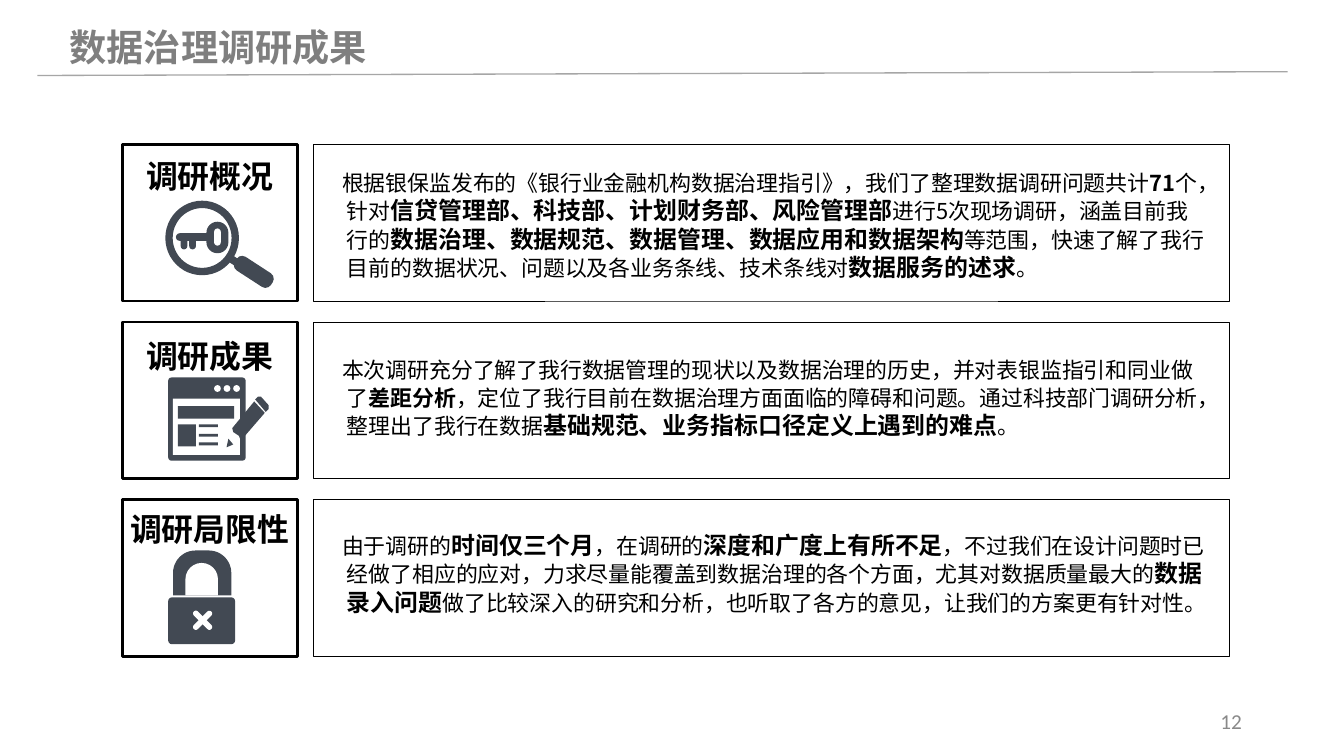
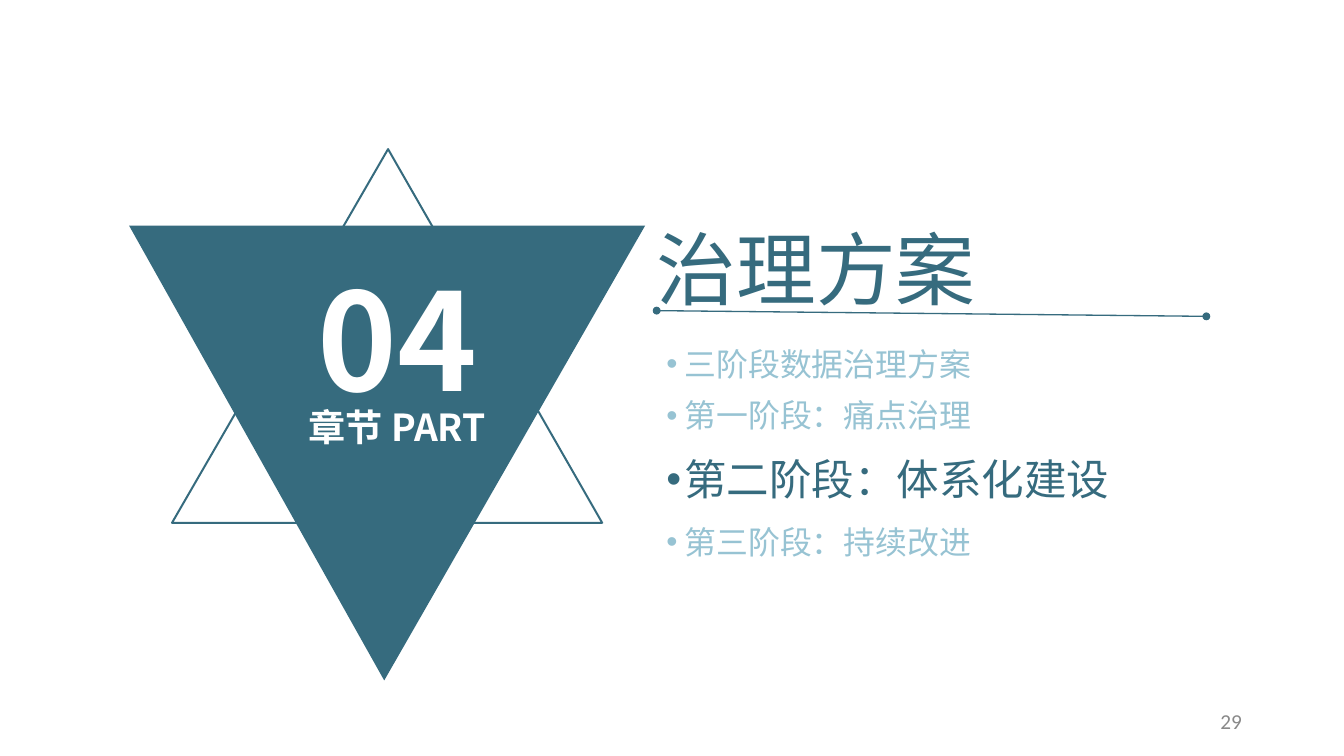
from lxml import etree
from pptx import Presentation
from pptx.dml.color import RGBColor
from pptx.enum.shapes import MSO_CONNECTOR, MSO_SHAPE
from pptx.enum.text import MSO_ANCHOR, MSO_AUTO_SIZE, PP_ALIGN
from pptx.oxml.ns import qn
from pptx.util import Inches, Pt

RECTANGLE = MSO_SHAPE.RECTANGLE
ROUNDED = MSO_SHAPE.ROUNDED_RECTANGLE
ARCH = MSO_SHAPE.ROUND_2_SAME_RECTANGLE
OVAL = MSO_SHAPE.OVAL
DONUT = MSO_SHAPE.DONUT
STRAIGHT = MSO_CONNECTOR.STRAIGHT
TOP, MIDDLE = MSO_ANCHOR.TOP, MSO_ANCHOR.MIDDLE
LEFT, CENTER, RIGHT = PP_ALIGN.LEFT, PP_ALIGN.CENTER, PP_ALIGN.RIGHT

COLORS = {
    "black": "000000",
    "white": "FFFFFF",
    "title": "7F7F7F",
    "rule": "A6A6A6",
    "number": "898989",
    "icon": "424953",
    "teal": "366B7E",
    "pale": "97C3D3",
}
CHINESE_FONT = "Noto Sans CJK SC"
NUMBER_FONT = "Calibri"
TITLE_ONLY, TITLE_AND_BODY = 5, 1

RUN_STYLES = {
    "plain": {"size": Pt(16.5), "bold": False},
    "bold": {"size": Pt(16.5), "bold": True},
    "strong": {"size": Pt(18), "bold": True},
}

FRAME_TOP, FRAME_STEP, FRAME_HEIGHT = 1.51, 1.86, 1.64
LABEL_LEFT, LABEL_WIDTH = 1.28, 1.83
DETAIL_LEFT, DETAIL_WIDTH = 3.28, 9.58
DETAIL_TEXT_HEIGHT = 1.19

MAGNIFIER = [
    (DONUT, (1.73, 2.1, 0.77, 0.78), "icon", 0.1, 0),
    (RECTANGLE, (2.39, 2.69, 0.12, 0.08), "icon", None, 33),
    (ROUNDED, (2.43, 2.76, 0.45, 0.17), "icon", 0.4, 33),
    (ROUNDED, (1.84, 2.44, 0.39, 0.08), "icon", 0.5, 0),
    (ROUNDED, (1.89, 2.45, 0.07, 0.16), "icon", 0.5, 0),
    (ROUNDED, (1.98, 2.45, 0.07, 0.16), "icon", 0.5, 0),
    (ROUNDED, (2.16, 2.32, 0.23, 0.33), "icon", 0.5, 0),
    (ROUNDED, (2.24, 2.39, 0.07, 0.18), "white", 0.5, 0),
]
REPORT = [
    (ROUNDED, (1.76, 3.95, 0.81, 0.87), "icon", 0.04, 0),
    *[(OVAL, (left, 4.03, 0.07, 0.07), "white", None, 0) for left in (2.24, 2.34, 2.44)],
    (RECTANGLE, (1.81, 4.17, 0.7, 0.59), "white", None, 0),
    (RECTANGLE, (1.86, 4.25, 0.59, 0.13), "icon", None, 0),
    (RECTANGLE, (1.86, 4.44, 0.19, 0.23), "icon", None, 0),
    *[(RECTANGLE, (2.08, top, 0.2, 0.03), "icon", None, 0) for top in (4.44, 4.54, 4.63)],
]
PENCIL = [
    [(2.39, 4.59), (2.37, 4.68), (2.44, 4.65)],
    [(2.66, 4.2), (2.43, 4.48), (2.44, 4.52), (2.5, 4.56), (2.52, 4.61), (2.77, 4.32)],
    [(2.78, 4.31), (2.81, 4.28), (2.81, 4.24), (2.73, 4.15), (2.7, 4.15), (2.67, 4.18)],
]
PADLOCK = [
    (ARCH, (1.81, 5.76, 0.61, 0.47), "icon", 0.5, 0),
    (ARCH, (1.94, 5.89, 0.34, 0.34), "white", 0.5, 0),
    (ROUNDED, (1.76, 6.25, 0.7, 0.49), "icon", 0.08, 0),
    *[(ROUNDED, (1.99, 6.46, 0.26, 0.06), "white", 0.5, angle) for angle in (45, -45)],
]

SURVEY_ROWS = [
    ("调研概况", 1.64, 2.35, MAGNIFIER, [], [
        ("根据银保监发布的《银行业金融机构数据治理指引》，我们了整理数据调研问题共计", "plain"),
        ("71", "bold"),
        ("个，针对", "plain"),
        ("信贷管理部、科技部、计划财务部、风险管理部", "strong"),
        ("进行5次现场调研，涵盖目前我行的", "plain"),
        ("数据治理、数据规范、数据管理、数据应用和数据架构", "strong"),
        ("等范围，快速了解了我行目前的数据状况、问题以及各业务条线、技术条线对", "plain"),
        ("数据服务的述求", "strong"),
        ("。", "plain"),
    ]),
    ("调研成果", 3.52, 4.15, REPORT, PENCIL, [
        ("本次调研充分了解了我行数据管理的现状以及数据治理的历史，并对表银监指引和同业做了", "plain"),
        ("差距分析", "bold"),
        ("，定位了我行目前在数据治理方面面临的障碍和问题。通过科技部门调研分析，整理出了我行在数据", "plain"),
        ("基础规范、业务指标口径定义上遇到的难点", "strong"),
        ("。", "plain"),
    ]),
    ("调研局限性", 5.33, 6.0, PADLOCK, [], [
        ("由于调研的", "plain"),
        ("时间仅三个月", "strong"),
        ("，在调研的", "plain"),
        ("深度和广度上有所不足", "strong"),
        ("，不过我们在设计问题时已经做了相应的应对，力求尽量能覆盖到数据治理的各个方面，尤其对数据质量最大的", "plain"),
        ("数据录入问题", "strong"),
        ("做了比较深入的研究和分析，也听取了各方的意见，让我们的方案更有针对性。", "plain"),
    ]),
]

PHASES = [
    ("三阶段数据治理方案", 24, "pale", 39),
    ("第一阶段：痛点治理", 24, "pale", 39),
    ("第二阶段：体系化建设", 32, "teal", 52.5),
    ("第三阶段：持续改进", 24, "pale", 43),
]


def rgb(name):
    """Return the named palette colour."""
    return RGBColor.from_string(COLORS[name])


def set_attributes(target, values):
    """Set every attribute in the dict on the target."""
    for name, value in values.items():
        setattr(target, name, value)


def place(shape, box):
    """Move and size a shape to a box in inches."""
    set_attributes(shape, dict(zip(("left", "top", "width", "height"), map(Inches, box))))


def add_run(paragraph, text, color, font=CHINESE_FONT, **values):
    """Add a formatted run with one typeface for all scripts."""
    run = paragraph.add_run()
    run.text = text
    set_attributes(run.font, {"name": font, **values})
    run.font.color.rgb = rgb(color)
    east_asian = etree.SubElement(run.font._element, qn("a:ea"))
    east_asian.set("typeface", font)


def prepare_frame(shape, anchor=TOP, inset=0.0, wrap=True):
    """Format a text frame and return its first paragraph."""
    frame = shape.text_frame
    set_attributes(frame, {
        "auto_size": MSO_AUTO_SIZE.NONE,
        "word_wrap": wrap,
        "vertical_anchor": anchor,
        "margin_left": Inches(inset),
        "margin_right": Inches(inset),
        "margin_top": 0,
        "margin_bottom": 0,
    })
    return frame.paragraphs[0]


def add_label(slide, text, box, color, align=CENTER, anchor=TOP, inset=0.0, **font_values):
    """Add a one-line text box."""
    shape = slide.shapes.add_textbox(*map(Inches, box))
    paragraph = prepare_frame(shape, anchor, inset)
    paragraph.alignment = align
    add_run(paragraph, text, color, **font_values)


def fill_title(slide, text, box, color, anchor, **font_values):
    """Place and fill the title placeholder."""
    title = slide.shapes.title
    place(title, box)
    paragraph = prepare_frame(title, anchor)
    paragraph.alignment = LEFT
    add_run(paragraph, text, color, **font_values)


def add_page_number(slide, number):
    """Add the page number at the lower right."""
    add_label(slide, str(number), (9.93, 7.33, 3.16, 0.42), "number", RIGHT, MIDDLE, 0.1,
              font=NUMBER_FONT, size=Pt(16))


def add_rule(slide, start, end, color, dots=False):
    """Add a thin straight line, with round ends if asked."""
    connector = slide.shapes.add_connector(STRAIGHT, *map(Inches, start + end))
    connector.line.color.rgb = rgb(color)
    connector.line.width = Pt(1)
    properties = connector.element.spPr
    if dots:
        for name in ("a:headEnd", "a:tailEnd"):
            etree.SubElement(properties.find(qn("a:ln")), qn(name)).set("type", "oval")
    etree.SubElement(properties, qn("a:effectLst"))


def paint(shape, fill=None, line=None, width=1.0):
    """Give a shape its fill and outline and remove the shadow."""
    shape.shadow.inherit = False
    if fill:
        shape.fill.solid()
        shape.fill.fore_color.rgb = rgb(fill)
    else:
        shape.fill.background()
    if line:
        shape.line.color.rgb = rgb(line)
        shape.line.width = Pt(width)
    else:
        shape.line.fill.background()


def add_frame(slide, box, width):
    """Add an unfilled black rectangle."""
    paint(slide.shapes.add_shape(RECTANGLE, *map(Inches, box)), line="black", width=width)


def add_polygon(shapes, points, **paint_values):
    """Add a closed outline through points in inches."""
    corners = [(Inches(x), Inches(y)) for x, y in points]
    builder = shapes.build_freeform(*corners[0])
    builder.add_line_segments(corners[1:], close=True)
    paint(builder.convert_to_shape(), **paint_values)


def add_icon(slide, parts, polygons):
    """Add an icon as a group of plain shapes."""
    group = slide.shapes.add_group_shape()
    for kind, box, color, adjustment, rotation in parts:
        shape = group.shapes.add_shape(kind, *map(Inches, box))
        paint(shape, fill=color)
        shape.rotation = rotation
        if adjustment is not None:
            shape.adjustments[0] = adjustment
    for points in polygons:
        add_polygon(group.shapes, points, fill="icon")


def set_indent(paragraph, margin, indent):
    """Set the left margin and first-line indent in inches."""
    properties = paragraph._p.get_or_add_pPr()
    properties.set("marL", str(Inches(margin)))
    properties.set("indent", str(Inches(indent)))
    return properties


def add_detail(slide, center, runs):
    """Add a paragraph of mixed emphasis centred on a height."""
    box = (3.42, center - DETAIL_TEXT_HEIGHT / 2, 9.2, DETAIL_TEXT_HEIGHT)
    shape = slide.shapes.add_textbox(*map(Inches, box))
    paragraph = prepare_frame(shape, MIDDLE)
    paragraph.line_spacing = Pt(21.5)
    set_indent(paragraph, 0.21, -0.05)
    for text, style in runs:
        add_run(paragraph, text, "black", **RUN_STYLES[style])


def fill_phases(body):
    """Fill the body placeholder with the bulleted phases."""
    place(body, (6.87, 3.46, 4.89, 2.5))
    paragraph = prepare_frame(body, inset=0.1)
    for index, (text, size, color, spacing) in enumerate(PHASES):
        if index:
            paragraph = body.text_frame.add_paragraph()
        set_attributes(paragraph, {
            "alignment": LEFT,
            "line_spacing": Pt(spacing),
            "space_before": Pt(0),
            "space_after": Pt(0),
        })
        properties = set_indent(paragraph, 0.19, -0.19)
        etree.SubElement(properties, qn("a:buChar")).set("char", "•")
        add_run(paragraph, text, color, size=Pt(size))


def build_survey_slide(presentation):
    """Build the survey results slide."""
    slide = presentation.slides.add_slide(presentation.slide_layouts[TITLE_ONLY])
    fill_title(slide, "数据治理调研成果", (0.73, 0.25, 8.21, 0.47), "title", MIDDLE,
               size=Pt(28), bold=True)
    add_rule(slide, (0.39, 0.79), (13.47, 0.75), "rule")
    for index, (label, label_top, center, parts, polygons, runs) in enumerate(SURVEY_ROWS):
        top = FRAME_TOP + index * FRAME_STEP
        add_frame(slide, (LABEL_LEFT, top, LABEL_WIDTH, FRAME_HEIGHT), 2)
        add_frame(slide, (DETAIL_LEFT, top, DETAIL_WIDTH, FRAME_HEIGHT), 0.5)
        add_label(slide, label, (LABEL_LEFT, label_top, LABEL_WIDTH, 0.41), "black",
                  size=Pt(24), bold=True)
        add_icon(slide, parts, polygons)
        add_detail(slide, center, runs)
    add_page_number(slide, 12)


def build_section_slide(presentation):
    """Build the section opener slide."""
    slide = presentation.slides.add_slide(presentation.slide_layouts[TITLE_AND_BODY])
    add_polygon(slide.shapes, [(4.06, 1.56), (6.3, 5.47), (1.8, 5.47)], line="teal", width=1.5)
    add_polygon(slide.shapes, [(1.35, 2.36), (6.75, 2.36), (4.02, 7.12)], fill="teal")
    add_label(slide, "04", (3.23, 2.68, 1.85, 1.72), "white", size=Pt(102), bold=True)
    add_label(slide, "章节 PART", (2.26, 4.23, 3.79, 0.47), "white", size=Pt(28), bold=True)
    fill_title(slide, "治理方案", (6.87, 2.3, 4.89, 1.01), "teal", TOP, size=Pt(60))
    add_rule(slide, (6.87, 3.25), (12.62, 3.31), "teal", dots=True)
    fill_phases(slide.placeholders[1])
    add_page_number(slide, 29)


def main():
    """Build and save the presentation."""
    presentation = Presentation()
    presentation.slide_width = Inches(14.06)
    presentation.slide_height = Inches(7.91)
    build_survey_slide(presentation)
    build_section_slide(presentation)
    presentation.save("out.pptx")


if __name__ == "__main__":
    main()
